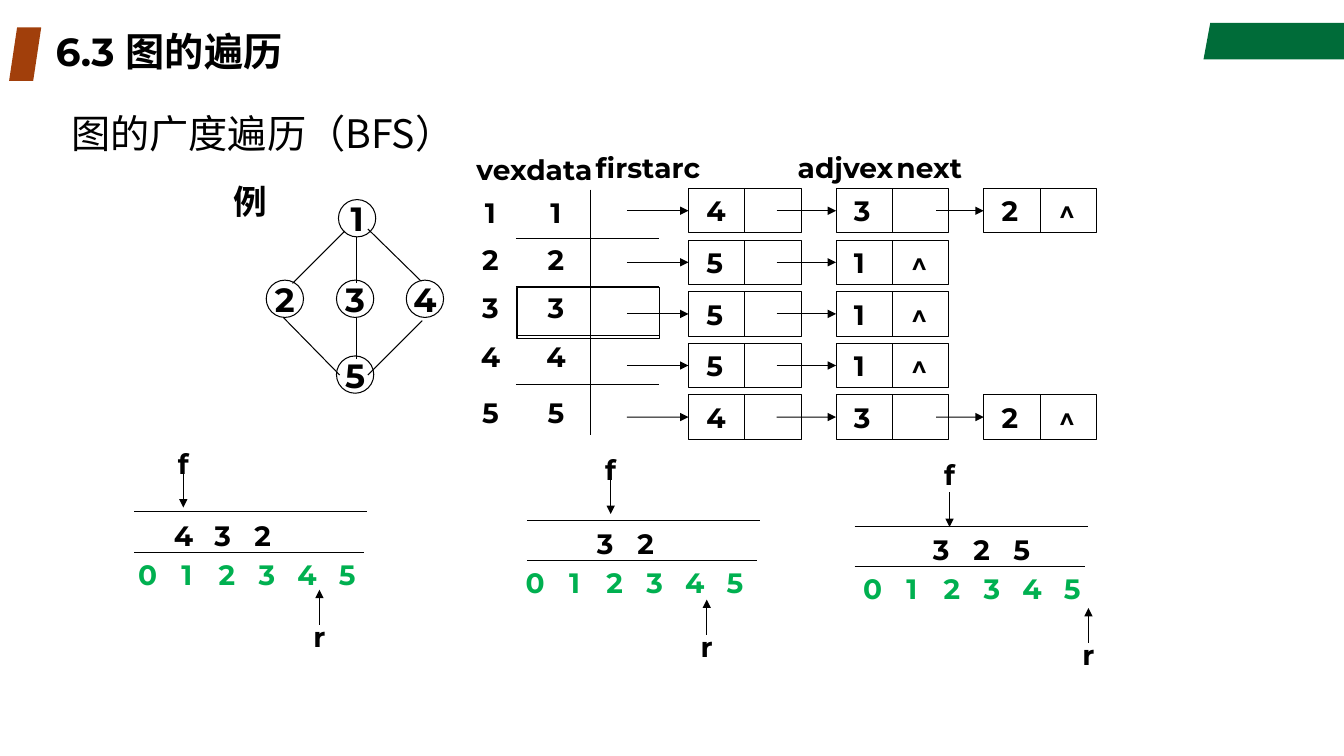
from dataclasses import dataclass

from lxml.etree import SubElement
from pptx import Presentation
from pptx.dml.color import RGBColor
from pptx.enum.shapes import MSO_CONNECTOR, MSO_SHAPE
from pptx.enum.text import MSO_ANCHOR, PP_ALIGN
from pptx.oxml.ns import qn
from pptx.util import Cm, Pt

COLORS = {"ink": "000000", "index": "00B050", "banner": "006C39", "marker": "A13F0B"}
LATIN = "Montserrat"
CHINESE = "Noto Sans CJK SC"
DIGIT_PITCH = 1.01
VERTEX_SIZE = 0.94
NODE_WIDTH, NODE_HEIGHT = 2.84, 1.12
ARROW_LENGTHS = (1.55, 1.5, 1.2)

VERTICES = {"1": (9, 5.5), "2": (7.18, 7.53), "3": (8.95, 7.53), "4": (10.71, 7.53), "5": (8.95, 9.44)}
EDGES = (
    (8.69, 5.82, 7.37, 7.14), (8.99, 5.97, 8.99, 7.14), (8.99, 8, 8.99, 9.04),
    (9.27, 5.77, 10.62, 7.09), (7.14, 8, 8.56, 9.45), (10.64, 8.08, 9.27, 9.45),
)
HEADINGS = (
    ("vexdata", 13.47, 3.71, 3.6), ("firstarc", 16.33, 3.66, 3.4),
    ("adjvex", 21.31, 3.66, 3), ("next", 23.42, 3.66, 2.2),
)
VERTEX_TOPS = (4.8, 5.97, 7.2, 8.42, 9.83)
ADJACENCY = ("432", "51", "51", "51", "432")


@dataclass
class Queue:
    """Contents and places of one queue state, in centimetres."""
    values: str
    left: float
    top: float
    index_left: float
    values_left: float
    front: tuple
    front_label_top: float
    rear: tuple


QUEUES = (
    Queue("432", 3.38, 12.9, 3.48, 4.38, (4.62, 11.91), 11.12, (8.05, 14.86)),
    Queue("32", 13.28, 13.11, 13.25, 15.04, (15.39, 12.07), 11.28, (17.81, 15.11)),
    Queue("325", 21.54, 13.26, 21.75, 23.51, (23.93, 12.4), 11.4, (27.43, 15.32)),
)


def paint(fill, color):
    """Give a fill one solid colour."""
    fill.solid()
    fill.fore_color.rgb = RGBColor.from_string(COLORS[color])


def write(shape, text, size=20, color="ink", bold=True, latin=LATIN, align=PP_ALIGN.CENTER,
          anchor=MSO_ANCHOR.MIDDLE, inset=0, wrap=False):
    """Put one styled paragraph into a shape and return it."""
    frame = shape.text_frame
    frame.margin_left = Cm(inset)
    frame.margin_right = frame.margin_top = frame.margin_bottom = 0
    frame.word_wrap = wrap
    frame.vertical_anchor = anchor
    para = frame.paragraphs[0]
    para.alignment = align
    para.add_run().text = text
    font = para.font
    font.size, font.bold, font.name = Pt(size), bold, latin
    paint(font.fill, color)
    for span in para.runs:
        SubElement(span._r.get_or_add_rPr(), qn("a:ea"), typeface=CHINESE)
    return para


def add_text(page, text, left, top, width, height, **style):
    """Add a text box."""
    box = page.shapes.add_textbox(Cm(left), Cm(top), Cm(width), Cm(height))
    return write(box, text, **style)


def add_label(page, text, center, top, width=1, **style):
    """Add a one-line label centred on a horizontal position."""
    add_text(page, text, center - width / 2, top, width, 1.11, **style)


def add_digits(page, digits, left, top, color="ink"):
    """Add digits spaced evenly by centred tab stops."""
    box = page.shapes.add_textbox(Cm(left), Cm(top), Cm(6), Cm(1.11))
    tabs = SubElement(box.text_frame.paragraphs[0]._p.get_or_add_pPr(), qn("a:tabLst"))
    for step in range(1, len(digits)):
        SubElement(tabs, qn("a:tab"), pos=str(Cm(0.22 + DIGIT_PITCH * step)), algn="ctr")
    write(box, "\t".join(digits), color=color, align=PP_ALIGN.LEFT)


def add_outline(page, kind, left, top, width, height):
    """Add an unfilled shape with a thin black outline."""
    shape = page.shapes.add_shape(kind, Cm(left), Cm(top), Cm(width), Cm(height))
    shape.shadow.inherit = False
    shape.fill.background()
    paint(shape.line.fill, "ink")
    shape.line.width = Pt(0.75)
    return shape


def add_line(page, x1, y1, x2, y2, arrow=False):
    """Add a straight line, with an arrowhead at its end if wanted."""
    line = page.shapes.add_connector(MSO_CONNECTOR.STRAIGHT, Cm(x1), Cm(y1), Cm(x2), Cm(y2))
    paint(line.line.fill, "ink")
    line.line.width = Pt(0.75)
    if arrow:
        SubElement(line.line._get_or_add_ln(), qn("a:tailEnd"), type="triangle")
    SubElement(line._element.spPr, qn("a:effectLst"))
    return line


def add_header(page):
    """Add the banner, the marker, the title and the subtitle."""
    builder = page.shapes.build_freeform(Cm(30.5), Cm(0.58))
    builder.add_line_segments([(Cm(x), Cm(y)) for x, y in ((33.87, 0.58), (33.87, 1.5), (30.33, 1.5))])
    banner = builder.convert_to_shape()
    marker = page.shapes.add_shape(MSO_SHAPE.PARALLELOGRAM, Cm(0.23), Cm(0.69), Cm(0.81), Cm(1.35))
    for shape, color in ((banner, "banner"), (marker, "marker")):
        shape.shadow.inherit = False
        paint(shape.fill, color)
        shape.line.fill.background()
    title = add_text(page, "6.3 图的遍历", 1.4, 0.69, 23.5, 1.35, size=28, align=PP_ALIGN.LEFT, wrap=True)
    subtitle = add_text(page, "图的广度遍历（BFS）", 1.8, 2.9, 28.7, 1.5, size=28, bold=False, latin=CHINESE,
                        align=PP_ALIGN.LEFT, anchor=MSO_ANCHOR.TOP, wrap=True)
    title.line_spacing = subtitle.line_spacing = 0.9


def add_graph(page):
    """Add the example graph."""
    add_label(page, "例", 6.3, 4.52, size=24)
    for name, (x, y) in VERTICES.items():
        vertex = add_outline(page, MSO_SHAPE.OVAL, x - VERTEX_SIZE / 2, y - VERTEX_SIZE / 2, VERTEX_SIZE, VERTEX_SIZE)
        write(vertex, name, size=24)
    for edge in EDGES:
        add_line(page, *edge)


def add_vertex_table(page):
    """Add the headings and the ruled list of vertices."""
    for heading in HEADINGS:
        add_label(page, *heading)
    add_outline(page, MSO_SHAPE.RECTANGLE, 13.03, 7.24, 3.58, 1.3)
    add_line(page, 14.88, 4.78, 14.88, 10.97)
    for row in range(4):
        add_line(page, 13, 6 + 1.23 * row, 16.6, 6 + 1.23 * row)
    for number, top in enumerate(VERTEX_TOPS, 1):
        for center in (12.36, 14.01):
            add_label(page, str(number), center, top)


def add_node(page, value, left, top, arrow_length):
    """Add a two-part list node and the arrow that leads to it."""
    node = add_outline(page, MSO_SHAPE.RECTANGLE, left, top, NODE_WIDTH, NODE_HEIGHT)
    write(node, value, align=PP_ALIGN.LEFT, inset=0.45, wrap=True)
    add_line(page, left + NODE_WIDTH / 2, top, left + NODE_WIDTH / 2, top + NODE_HEIGHT)
    middle = top + NODE_HEIGHT / 2
    arrow = add_line(page, left - arrow_length, middle, left, middle, arrow=True)
    arrow.end_connect(node, 1)


def add_adjacency_lists(page):
    """Add one linked list of neighbours per vertex."""
    for row, values in enumerate(ADJACENCY):
        top = 4.75 + 1.3 * row
        for column, (value, length) in enumerate(zip(values, ARROW_LENGTHS)):
            left = 17.35 + 3.72 * column
            add_node(page, value, left, top, length)
        add_label(page, "^", left + 2.1, top + 0.03)


def add_queue(page, queue):
    """Add a queue with its indices and its front and rear pointers."""
    bottom = queue.top + 1.02
    add_line(page, queue.left, queue.top, queue.left + 5.87, queue.top)
    add_line(page, queue.left, bottom, queue.left + 5.8, bottom)
    add_digits(page, "012345", queue.index_left, bottom, "index")
    add_digits(page, queue.values, queue.values_left, queue.top + 0.03)
    x, y = queue.front
    add_line(page, x, y, x, y + 0.88, arrow=True)
    add_label(page, "f", x, queue.front_label_top)
    x, y = queue.rear
    add_line(page, x, y + 0.88, x, y, arrow=True)
    add_label(page, "r", x, y + 0.62)


def main():
    """Build the slide and save it."""
    deck = Presentation()
    deck.slide_width, deck.slide_height = Cm(33.87), Cm(19.05)
    page = deck.slides.add_slide(deck.slide_layouts[6])
    add_header(page)
    add_graph(page)
    add_vertex_table(page)
    add_adjacency_lists(page)
    for queue in QUEUES:
        add_queue(page, queue)
    deck.save("out.pptx")


if __name__ == "__main__":
    main()
